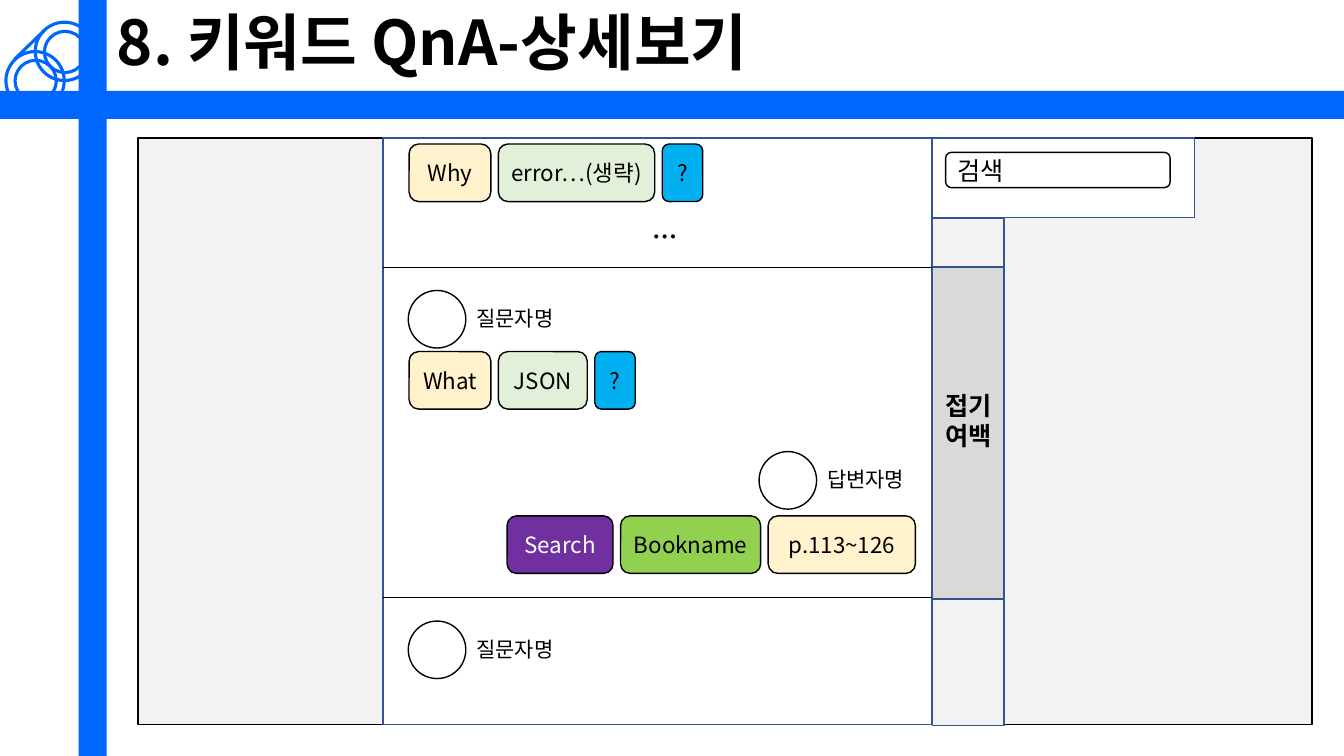
"""Build the keyword QnA detail view slide."""
from lxml import etree
from pptx import Presentation
from pptx.dml.color import RGBColor
from pptx.enum import shapes, text
from pptx.oxml import ns
from pptx.util import Cm, Pt

FONT = "Noto Sans CJK KR"
HUES = {
    "blue": "0066FF", "navy": "325491", "black": "000000", "white": "FFFFFF",
    "pale": "F2F2F2", "grey": "D9D9D9", "cream": "FFF2CC", "mint": "E2F0D9",
    "sky": "00B0F0", "green": "92D050", "purple": "7030A0",
}
RGB = {name: RGBColor.from_string(code) for name, code in HUES.items()}
RECT = shapes.MSO_SHAPE.RECTANGLE
ROUND = shapes.MSO_SHAPE.ROUNDED_RECTANGLE
OVAL = shapes.MSO_SHAPE.OVAL
LEFT, MID, RIGHT = text.PP_ALIGN.LEFT, text.PP_ALIGN.CENTER, text.PP_ALIGN.RIGHT

deck = Presentation()
deck.slide_width, deck.slide_height = Cm(33.87), Cm(19.05)
slide = deck.slides.add_slide(deck.slide_layouts[5])


def draw(kind, x, y, w, h, fill=None, line="black", width=1):
    """Add a preset shape with a plain fill and outline."""
    shape = slide.shapes.add_shape(kind, Cm(x), Cm(y), Cm(w), Cm(h))
    shape.shadow.inherit = False
    if fill:
        shape.fill.solid()
        shape.fill.fore_color.rgb = RGB[fill]
    else:
        shape.fill.background()
    if line:
        shape.line.color.rgb = RGB[line]
        shape.line.width = Pt(width)
    else:
        shape.line.fill.background()
    return shape


def write(shape, words, size, align=MID, hue="black", bold=False):
    """Put one formatted paragraph in a shape."""
    frame = shape.text_frame
    frame.word_wrap = True
    frame.auto_size = text.MSO_AUTO_SIZE.NONE
    frame.vertical_anchor = text.MSO_ANCHOR.MIDDLE
    frame.text = words
    para = frame.paragraphs[0]
    para.alignment = align
    font = para.font
    font.name, font.size, font.bold = FONT, Pt(size), bold
    font.color.rgb = RGB[hue]
    props = para._p.pPr.find(ns.qn("a:defRPr"))
    etree.SubElement(props, ns.qn("a:ea"), typeface=FONT)
    return para


draw(RECT, 1.98, 0, 0.71, 19.05, "blue", None)
draw(RECT, 0, 2.29, 33.87, 0.71, "blue", None)
for x, y, size in [(0.15, 1.3, 1.47), (0.89, 0.56, 1.47),
                   (1.12, 0.79, 1.04), (0.38, 1.52, 1.04)]:
    draw(OVAL, x, y, size, size, None, "blue", 2.25)

title = slide.shapes.title
title.left, title.top, title.width, title.height = Cm(2.69), Cm(0), Cm(29.85), Cm(2.29)
write(title, "8. 키워드 QnA-상세보기", 44, LEFT, bold=True).line_spacing = 0.9

draw(RECT, 3.48, 3.48, 29.59, 14.78, "pale")
draw(RECT, 9.65, 3.48, 13.82, 14.78, "white", "navy")

for x1, y1, x2, y2, hue, width in [
    (0.36, 1.5, 1.12, 0.76, "blue", 2.25),
    (9.65, 6.73, 23.5, 6.73, "black", 0.5),
    (9.65, 15.06, 23.5, 15.06, "black", 0.5),
]:
    rule = slide.shapes.add_connector(
        shapes.MSO_CONNECTOR.STRAIGHT, Cm(x1), Cm(y1), Cm(x2), Cm(y2))
    rule.line.color.rgb = RGB[hue]
    rule.line.width = Pt(width)
    etree.SubElement(rule._element.spPr, ns.qn("a:effectLst"))

for name, x, y in [("질문자명", 10.29, 7.32), ("답변자명", 19.13, 11.38),
                   ("질문자명", 10.29, 15.65)]:
    label = slide.shapes.add_textbox(Cm(x + 0.38), Cm(y + 0.25), Cm(3.53), Cm(0.89))
    write(label, name, 15, RIGHT)
    draw(OVAL, x, y, 1.45, 1.45, "white")

rows = [
    (10.31, 3.63, [("Why", 2.06, "cream"), ("error…(생략)", 3.94, "mint"),
                   ("?", 1.02, "sky")]),
    (10.31, 8.86, [("What", 2.06, "cream"), ("JSON", 2.24, "mint"),
                   ("?", 1.02, "sky")]),
    (12.78, 13, [("Search", 2.67, "purple"), ("Bookname", 3.53, "green"),
                 ("p.113~126", 3.71, "cream")]),
]
for x, y, cards in rows:
    for words, width, fill in cards:
        card = draw(ROUND, x, y, width, 1.45, fill)
        write(card, words, 16, hue="white" if fill == "purple" else "black")
        x += width + 0.19

draw(RECT, 23.5, 3.48, 6.6, 2.01, "white", "navy")
write(draw(ROUND, 23.83, 3.84, 5.66, 0.89, "white"), "검색", 18, LEFT)
for y, height, fill in [(5.49, 1.24, "pale"), (6.73, 8.36, "grey"),
                        (15.09, 3.2, "pale")]:
    draw(RECT, 23.5, y, 1.8, height, fill, "navy")

for words, x, y, w, h in [("…", 14.99, 5.44, 3.53, 1.02),
                          ("접기 여백", 23.5, 9.7, 1.8, 1.8)]:
    note = slide.shapes.add_textbox(Cm(x), Cm(y), Cm(w), Cm(h))
    write(note, words, 18, bold=True)

deck.save("out.pptx")
